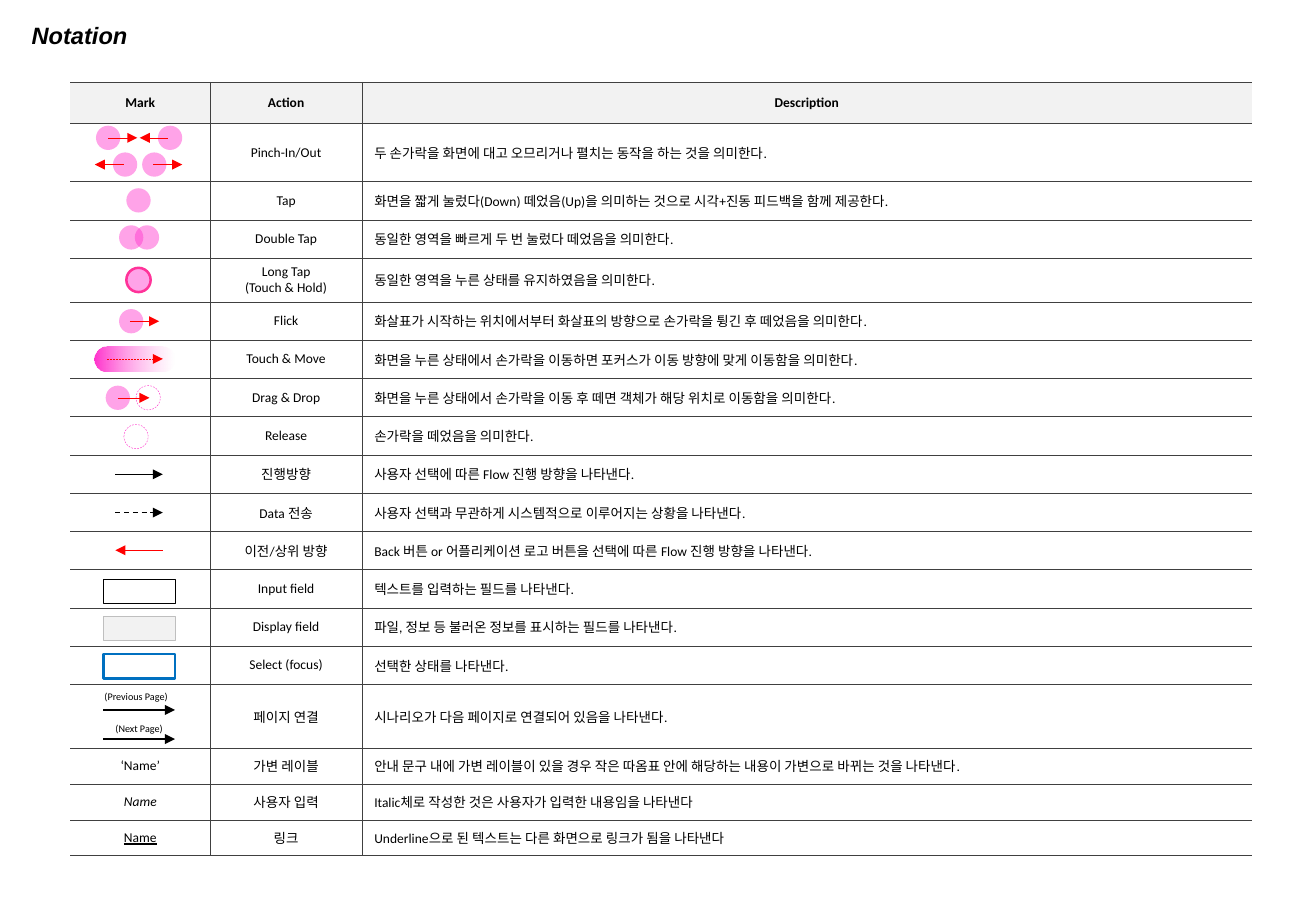
import pptx
import pptx.util
import pptx.dml.color
import pptx.enum.dml
import pptx.enum.shapes
import pptx.enum.text
import pptx.oxml
import pptx.oxml.ns
import lxml.etree

COLORS = {"ink": "000000", "rule": "404040", "header": "F2F2F2", "touch": "FF33CC",
          "hold": "FF3399", "red": "FF0000", "white": "FFFFFF", "gray": "BFBFBF",
          "focus": "0070C0"}
PX = 4572  # 200 px to the inch
PAGE_SIZE = (2166, 1500)
TITLE = ("Notation", (32, 24, 1600, 54))

# Table: height, mark text, mark format, action, description
TABLE_LEFT, TABLE_TOP = 116, 135
COLUMN_WIDTHS = (230, 250, 1464)
HEADER = (68, "Mark", {}, "Action", "Description")
ROWS = [
    (96, "", {}, "Pinch-In/Out", "두 손가락을 화면에 대고 오므리거나 펼치는 동작을 하는 것을 의미한다."),
    (63, "", {}, "Tap", "화면을 짧게 눌렀다(Down) 떼었음(Up)을 의미하는 것으로 시각+진동 피드백을 함께 제공한다."),
    (63, "", {}, "Double Tap", "동일한 영역을 빠르게 두 번 눌렀다 떼었음을 의미한다."),
    (72, "", {}, "Long Tap\n(Touch & Hold)", "동일한 영역을 누른 상태를 유지하였음을 의미한다."),
    (63, "", {}, "Flick", "화살표가 시작하는 위치에서부터 화살표의 방향으로 손가락을 튕긴 후 떼었음을 의미한다."),
    (63, "", {}, "Touch & Move", "화면을 누른 상태에서 손가락을 이동하면 포커스가 이동 방향에 맞게 이동함을 의미한다."),
    (63, "", {}, "Drag & Drop", "화면을 누른 상태에서 손가락을 이동 후 떼면 객체가 해당 위치로 이동함을 의미한다."),
    (63, "", {}, "Release", "손가락을 떼었음을 의미한다."),
    (63, "", {}, "진행방향", "사용자 선택에 따른 Flow 진행 방향을 나타낸다."),
    (63, "", {}, "Data 전송", "사용자 선택과 무관하게 시스템적으로 이루어지는 상황을 나타낸다."),
    (63, "", {}, "이전/상위 방향", "Back 버튼 or 어플리케이션 로고 버튼을 선택에 따른 Flow 진행 방향을 나타낸다."),
    (63, "", {}, "Input field", "텍스트를 입력하는 필드를 나타낸다."),
    (63, "", {}, "Display field", "파일, 정보 등 불러온 정보를 표시하는 필드를 나타낸다."),
    (63, "", {}, "Select (focus)", "선택한 상태를 나타낸다."),
    (105, "", {}, "페이지 연결", "시나리오가 다음 페이지로 연결되어 있음을 나타낸다."),
    (59, "‘Name’", {}, "가변 레이블", "안내 문구 내에 가변 레이블이 있을 경우 작은 따옴표 안에 해당하는 내용이 가변으로 바뀌는 것을 나타낸다."),
    (59, "Name", {"italic": True}, "사용자 입력", "Italic체로 작성한 것은 사용자가 입력한 내용임을 나타낸다"),
    (59, "Name", {"underline": True}, "링크", "Underline으로 된 텍스트는 다른 화면으로 링크가 됨을 나타낸다"),
]

# Marks: row, left, offset from the row's middle, style
DOT_SIZE = 40
DOTS = [
    (1, 158, -24, "tap"), (1, 260, -24, "tap"), (1, 186, 20, "tap"), (1, 234, 20, "tap"),
    (2, 208, 0, "tap"), (3, 196, -2, "tap"), (3, 222, -2, "tap"), (4, 208, 0, "hold"),
    (5, 196, 1, "tap"), (7, 174, 1, "tap"), (7, 224, 1, "release"), (8, 204, 2, "release"),
]
DOT_STYLES = {  # fill, line, width, dashed
    "tap": ("touch", None, 0, False),
    "hold": ("touch", "hold", 1.5, False),
    "release": (None, "touch", 0.25, True),
}
FIELD_LEFT, FIELD_WIDTH = 170, 118
FIELDS = [  # row, offset, fill, line, width
    (12, 4, None, "ink", 0.25), (13, 3, "header", "gray", 0.25), (14, 2, None, "focus", 1.5),
]
TRAIL = (6, 156, 132)  # row, left, width
ARROWS = [  # row, from, to, offset, colour, width, dashed
    (1, 178, 226, -24, "red", 0.25, False), (1, 276, 230, -24, "red", 0.25, False),
    (1, 204, 156, 20, "red", 0.25, False), (1, 252, 300, 20, "red", 0.25, False),
    (5, 214, 262, 1, "red", 0.25, False), (6, 176, 268, 0, "red", 0.25, True),
    (7, 194, 246, 1, "red", 0.25, False), (9, 190, 268, 1, "ink", 0.75, False),
    (10, 190, 268, 1, "ink", 0.75, True), (11, 268, 190, 0, "red", 0.75, False),
    (15, 170, 288, -10, "ink", 0.75, False), (15, 170, 288, 38, "ink", 0.75, False),
]
LABEL_HEIGHT = 22
LABELS = [  # row, left, width, offset, align, text
    (15, 170, 106, -32, "RIGHT", "(Previous Page)"), (15, 190, 78, 21, "LEFT", "(Next Page)"),
]


def px(*lengths):
    return [pptx.util.Emu(length * PX) for length in lengths]


def color(name):
    return pptx.dml.color.RGBColor.from_string(COLORS[name])


def add_element(parent, tag, **attributes):
    return lxml.etree.SubElement(parent, pptx.oxml.ns.qn(tag), attributes)


def write_text(frame, text, *, size=8, font="Calibri", align="LEFT", bold=False,
               italic=False, underline=False):
    for index, words in enumerate(text.split("\n")):
        para = frame.add_paragraph() if index else frame.paragraphs[0]
        para.alignment = getattr(pptx.enum.text.PP_ALIGN, align)
        if not words:
            add_element(para._p, "a:endParaRPr", sz=str(size * 100))
            continue
        span = para.add_run()
        span.text = words
        span.font.size, span.font.name = pptx.util.Pt(size), font
        span.font.bold, span.font.italic, span.font.underline = bold, italic, underline
        span.font.color.rgb = color("ink")


def set_line(line, name, width, dashed=False):
    if name is None:
        line.fill.background()
        return
    line.color.rgb = color(name)
    line.width = pptx.util.Pt(width)
    if dashed:
        line.dash_style = pptx.enum.dml.MSO_LINE.DASH


def add_mark(page, kind, left, middle, width, fill, line, line_width=0, dashed=False):
    preset = getattr(pptx.enum.shapes.MSO_SHAPE, kind)
    shape = page.shapes.add_shape(preset, *px(left, middle - DOT_SIZE // 2, width, DOT_SIZE))
    shape.shadow.inherit = False
    if fill is None:
        shape.fill.background()
    else:
        shape.fill.solid()
        shape.fill.fore_color.rgb = color(fill)
    set_line(shape.line, line, line_width, dashed)
    return shape


def make_translucent(shape):
    fill_color = list(shape._element.spPr.iter(pptx.oxml.ns.qn("a:srgbClr")))
    add_element(fill_color[-1], "a:alpha", val="45000")


def set_borders(cell, column):
    properties = cell._tc.get_or_add_tcPr()
    hidden = {0: "L", len(COLUMN_WIDTHS) - 1: "R"}.get(column)
    for side in "LRTB":
        border = add_element(properties, "a:ln" + side, w="3175")
        if side == hidden:
            add_element(border, "a:noFill")
        else:
            add_element(add_element(border, "a:solidFill"), "a:srgbClr", val=COLORS["rule"])


def add_notation_table(page):
    lines = [HEADER] + ROWS
    size = (sum(COLUMN_WIDTHS), sum(line[0] for line in lines))
    table = page.shapes.add_table(len(lines), len(COLUMN_WIDTHS),
                                  *px(TABLE_LEFT, TABLE_TOP, *size)).table
    table.first_row = table.horz_banding = False
    for column, width in zip(table.columns, px(*COLUMN_WIDTHS)):
        column.width = width
    middles, top = [], TABLE_TOP
    for row, (height, mark, mark_format, action, description) in enumerate(lines):
        table.rows[row].height = px(height)[0]
        middles.append(top + height // 2)
        top += height
        for column, text in enumerate((mark, action, description)):
            cell = table.cell(row, column)
            cell.vertical_anchor = pptx.enum.text.MSO_ANCHOR.MIDDLE
            cell.margin_top = cell.margin_bottom = px(8)[0]
            set_borders(cell, column)
            if row == 0:
                cell.fill.solid()
                cell.fill.fore_color.rgb = color("header")
            else:
                cell.fill.background()
            write_text(cell.text_frame, text, bold=row == 0,
                       align="CENTER" if row == 0 or column < 2 else "LEFT",
                       **(mark_format if column == 0 else {}))
    return middles


def main():
    deck = pptx.Presentation()
    deck.slide_width, deck.slide_height = px(*PAGE_SIZE)
    page = deck.slides.add_slide(deck.slide_layouts[5])

    # Title
    title = page.shapes.title
    title.left, title.top, title.width, title.height = px(*TITLE[1])
    title.text_frame.auto_size = pptx.enum.text.MSO_AUTO_SIZE.NONE
    title.text_frame.vertical_anchor = pptx.enum.text.MSO_ANCHOR.TOP
    write_text(title.text_frame, TITLE[0], size=14, font="Arial", bold=True, italic=True)

    middles = add_notation_table(page)

    # Touch trail, dots and fields
    row, left, width = TRAIL
    trail = add_mark(page, "ROUNDED_RECTANGLE", left, middles[row], width, None, None)
    trail.adjustments[0] = 0.5
    trail.fill.gradient()
    trail.fill.gradient_angle = 0
    for stop, name in zip(trail.fill.gradient_stops, ("touch", "white")):
        stop.color.rgb = color(name)
    make_translucent(trail)
    for row, left, offset, style in DOTS:
        dot = add_mark(page, "OVAL", left, middles[row] + offset, DOT_SIZE, None, None)
        fill, line, width, dashed = DOT_STYLES[style]
        if fill:
            dot.fill.solid()
            dot.fill.fore_color.rgb = color(fill)
            make_translucent(dot)
        set_line(dot.line, line, width, dashed)
    for row, offset, *style in FIELDS:
        add_mark(page, "RECTANGLE", FIELD_LEFT, middles[row] + offset, FIELD_WIDTH, *style)

    # Arrows
    for row, start, end, offset, name, width, dashed in ARROWS:
        y = middles[row] + offset
        arrow = page.shapes.add_connector(pptx.enum.shapes.MSO_CONNECTOR.STRAIGHT,
                                          *px(start, y, end, y))
        set_line(arrow.line, name, width, dashed)
        add_element(arrow.line._get_or_add_ln(), "a:tailEnd", type="triangle")
        add_element(arrow._element.spPr, "a:effectLst")

    # Page labels
    for row, left, width, offset, align, text in LABELS:
        top = middles[row] + offset - LABEL_HEIGHT // 2
        frame = page.shapes.add_textbox(*px(left, top, width, LABEL_HEIGHT)).text_frame
        frame.margin_left = frame.margin_right = frame.margin_top = frame.margin_bottom = 0
        frame.vertical_anchor = pptx.enum.text.MSO_ANCHOR.MIDDLE
        frame.word_wrap = False
        write_text(frame, text, size=6, align=align)

    deck.save("out.pptx")


if __name__ == "__main__":
    main()
